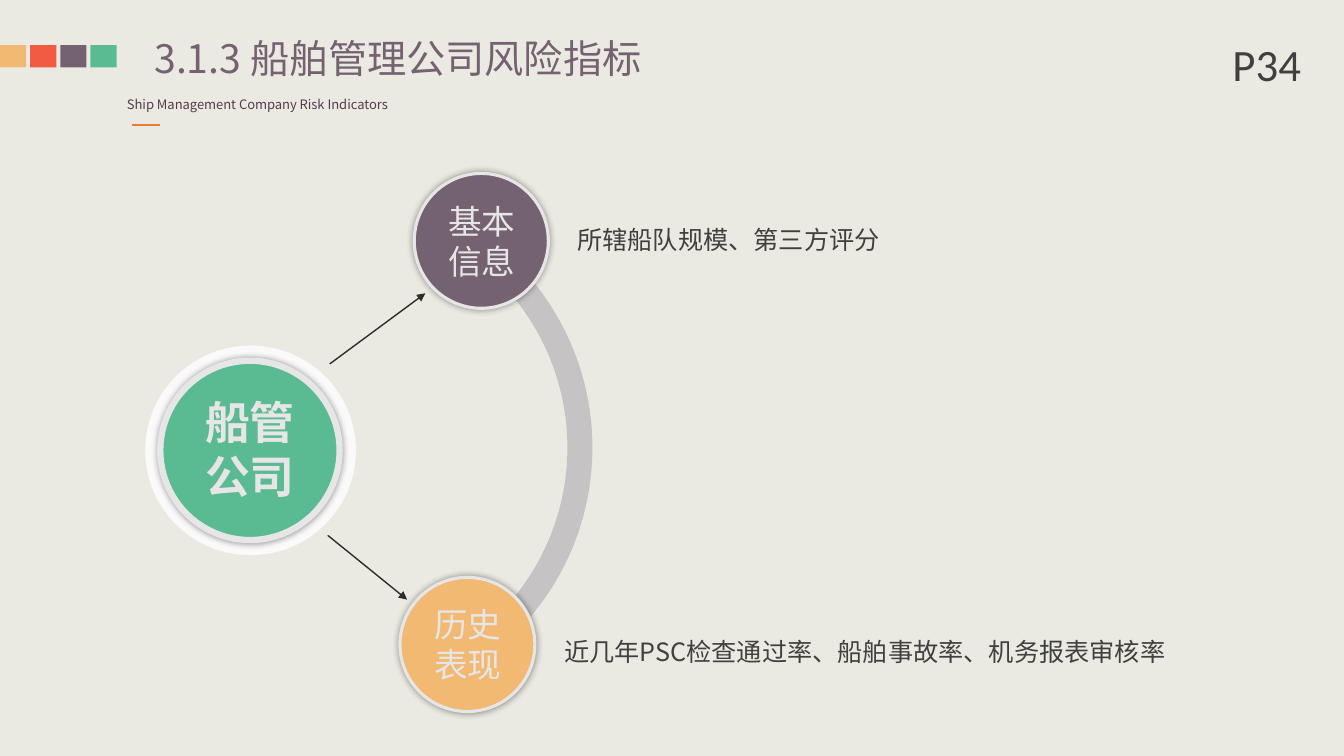
"""Build the slide on risk indicators of ship management companies."""
from dataclasses import dataclass
from math import cos, radians, sin

from lxml import etree
from pptx import Presentation
from pptx import util as u
from pptx.dml.color import RGBColor
from pptx.enum import shapes, text
from pptx.oxml.ns import qn

COLORS = {
    "background": "EBEAE2", "sand": "F2B973", "coral": "EF5B43",
    "plum": "756271", "green": "5ABB93", "dark_plum": "543C4F",
    "orange": "ED7D31", "arc": "C5C3C3", "ink": "2E2C2C",
    "pale": "E7E6E6", "halo": "FAFAFA", "body": "404040", "shadow": "000000",
}
CJK_FONT = "Noto Sans CJK SC"
Box = tuple[float, float, float, float]
Point = tuple[float, float]


@dataclass
class Node:
    label: str
    circle: Box
    label_box: Box
    color: str
    border: float = 2.25
    size: int = 24
    bold: bool = False


@dataclass
class Indicator:
    wording: str
    box: Box


@dataclass
class Arrow:
    start: Point
    end: Point


NODES = [
    Node("基本信息", (10.44, 4.37, 3.38, 3.4), (10.92, 4.93, 2.44, 2.31), "plum"),
    Node("历史表现", (10.08, 14.55, 3.4, 3.38), (10.57, 15.09, 2.44, 2.31), "sand"),
    Node("船管公司", (4.04, 9.09, 4.52, 4.52), (4.85, 9.83, 2.9, 3), "green",
         border=4.5, size=32, bold=True),
]
INDICATORS = [
    Indicator("所辖船队规模、第三方评分", (14.3, 5.54, 17.88, 1.02)),
    Indicator("近几年PSC检查通过率、船舶事故率、机务报表审核率",
              (13.97, 15.9, 16.84, 1.02)),
]
ARROWS = [
    Arrow((8.31, 9.17), (10.72, 7.39)),
    Arrow((8.26, 13.49), (10.26, 15.11)),
]


def rgb(name: str) -> RGBColor:
    return RGBColor.from_string(COLORS[name])


def lengths(values: tuple[float, ...]) -> list[u.Cm]:
    return [u.Cm(value) for value in values]


def paint(shape, color: str) -> None:
    shape.shadow.inherit = False
    shape.fill.solid()
    shape.fill.fore_color.rgb = rgb(color)
    shape.line.fill.background()


def add_filled(slide, preset, box: Box, color: str):
    shape = slide.shapes.add_shape(preset, *lengths(box))
    paint(shape, color)
    return shape


def add_words(slide, wording: str, box: Box, *, size: float, color: str,
              font: str = CJK_FONT, bold: bool = False, align=None,
              wrap: bool = True, inset: bool = True) -> None:
    frame = slide.shapes.add_textbox(*lengths(box)).text_frame
    frame.word_wrap = wrap
    frame.auto_size = text.MSO_AUTO_SIZE.SHAPE_TO_FIT_TEXT
    if not inset:
        frame.margin_left = frame.margin_right = 0
        frame.margin_top = frame.margin_bottom = 0
    paragraph = frame.paragraphs[0]
    paragraph.alignment = align
    run = paragraph.add_run()
    run.text = wording
    run.font.size = u.Pt(size)
    run.font.bold = bold
    run.font.color.rgb = rgb(color)
    run.font.name = font
    etree.SubElement(run.font._element, qn("a:ea"), typeface=font)


def add_line(slide, start: Point, end: Point, color: str, width: float,
             arrow: bool = False) -> None:
    line = slide.shapes.add_connector(
        shapes.MSO_CONNECTOR.STRAIGHT, *lengths(start + end))
    line.line.color.rgb = rgb(color)
    line.line.width = u.Pt(width)
    if arrow:
        etree.SubElement(line.line._get_or_add_ln(), qn("a:tailEnd"), type="triangle")
    etree.SubElement(line._element.spPr, qn("a:effectLst"))


def add_glow(shape) -> None:
    effects = shape._element.spPr.find(qn("a:effectLst"))
    shadow = etree.SubElement(effects, qn("a:outerShdw"), blurRad=str(u.Pt(5)),
                              dist="0", dir="0", algn="ctr", rotWithShape="0")
    color = etree.SubElement(shadow, qn("a:srgbClr"), val=COLORS["shadow"])
    etree.SubElement(color, qn("a:alpha"), val="40000")


def add_node(slide, node: Node) -> None:
    circle = add_filled(slide, shapes.MSO_SHAPE.OVAL, node.circle, node.color)
    circle.line.color.rgb = rgb("pale")
    circle.line.width = u.Pt(node.border)
    add_glow(circle)
    add_words(slide, node.label, node.label_box, size=node.size, color="pale",
              bold=node.bold, align=text.PP_ALIGN.CENTER)


def add_arc(slide, center: Point, inner: float, outer: float,
            first: float, last: float, steps: int = 60) -> None:
    angles = [radians(first + (last - first) * i / steps) for i in range(steps + 1)]
    rim = [(inner, a) for a in angles] + [(outer, a) for a in reversed(angles)]
    points = [(u.Cm(center[0] + r * cos(a)), u.Cm(center[1] + r * sin(a)))
              for r, a in rim]
    builder = slide.shapes.build_freeform(*points[0])
    builder.add_line_segments(points[1:], close=True)
    paint(builder.convert_to_shape(), "arc")


def add_header(slide) -> None:
    for i, color in enumerate(("sand", "coral", "plum", "green")):
        add_filled(slide, shapes.MSO_SHAPE.RECTANGLE,
                   (i * 0.76, 1.14, 0.66, 0.56), color)
    add_words(slide, "Ship Management Company Risk Indicators",
              (2.95, 2.31, 7.47, 0.66), size=9.3, color="dark_plum", wrap=False)
    add_line(slide, (3.33, 3.15), (4.04, 3.15), "orange", 1.5)
    add_words(slide, "3.1.3 船舶管理公司风险指标", (3.89, 0.86, 12.88, 1.19),
              size=28, color="plum", inset=False)
    add_words(slide, "P34", (30.81, 0.81, 2.34, 1.63), size=32,
              color="body", font="Calibri")


def main() -> None:
    deck = Presentation()
    deck.slide_width, deck.slide_height = u.Cm(33.87), u.Cm(19.05)
    slide = deck.slides.add_slide(deck.slide_layouts[6])
    slide.background.fill.solid()
    slide.background.fill.fore_color.rgb = rgb("background")

    add_header(slide)
    add_arc(slide, (8.33, 11.28), 5.97, 6.6, -59.6, 58.6)
    for arrow in ARROWS:
        add_line(slide, arrow.start, arrow.end, "ink", 1, arrow=True)
    add_filled(slide, shapes.MSO_SHAPE.OVAL, (3.66, 8.71, 5.31, 5.28), "halo")
    for node in NODES:
        add_node(slide, node)
    for indicator in INDICATORS:
        add_words(slide, indicator.wording, indicator.box, size=18,
                  color="body", align=text.PP_ALIGN.JUSTIFY)
    deck.save("out.pptx")


if __name__ == "__main__":
    main()
